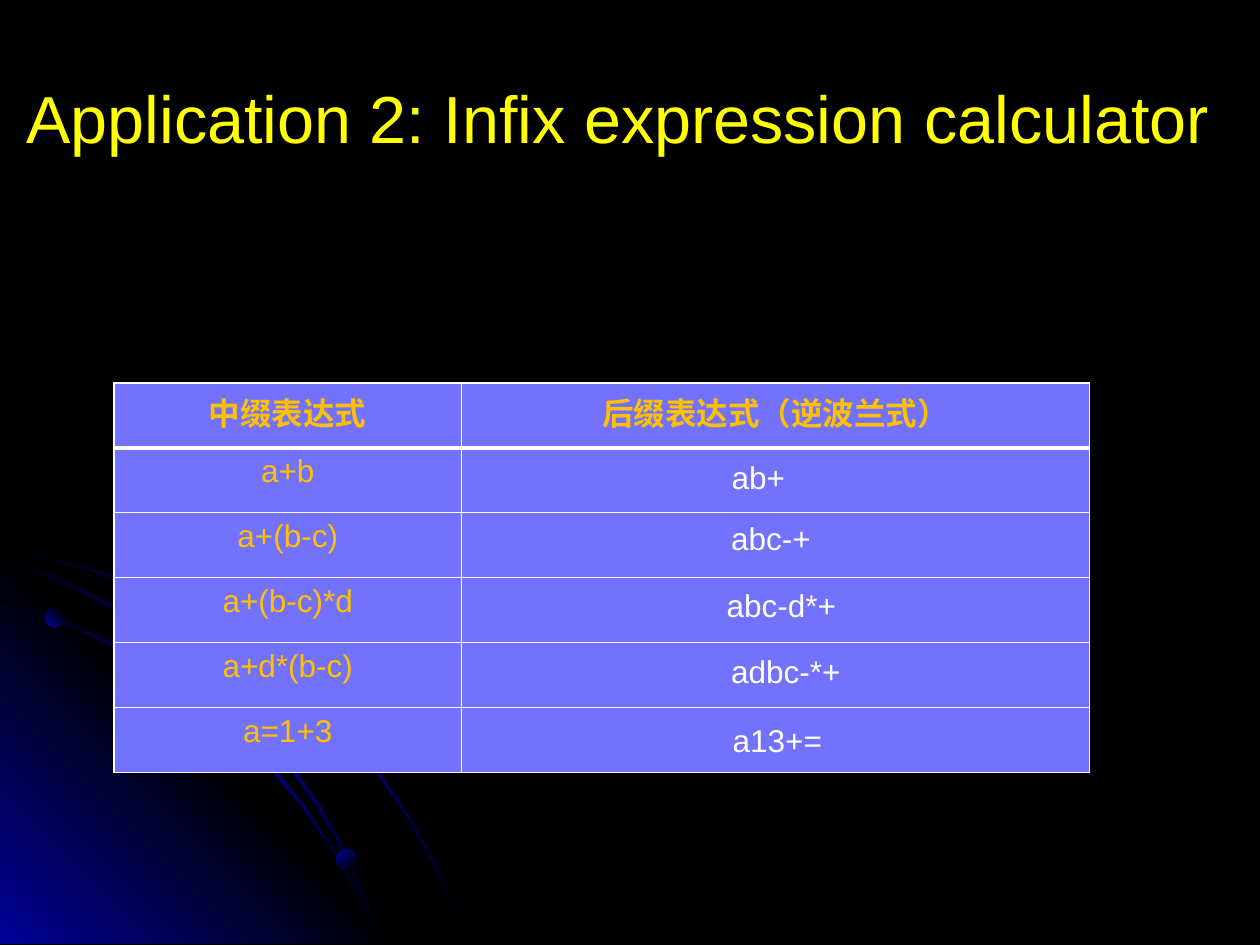
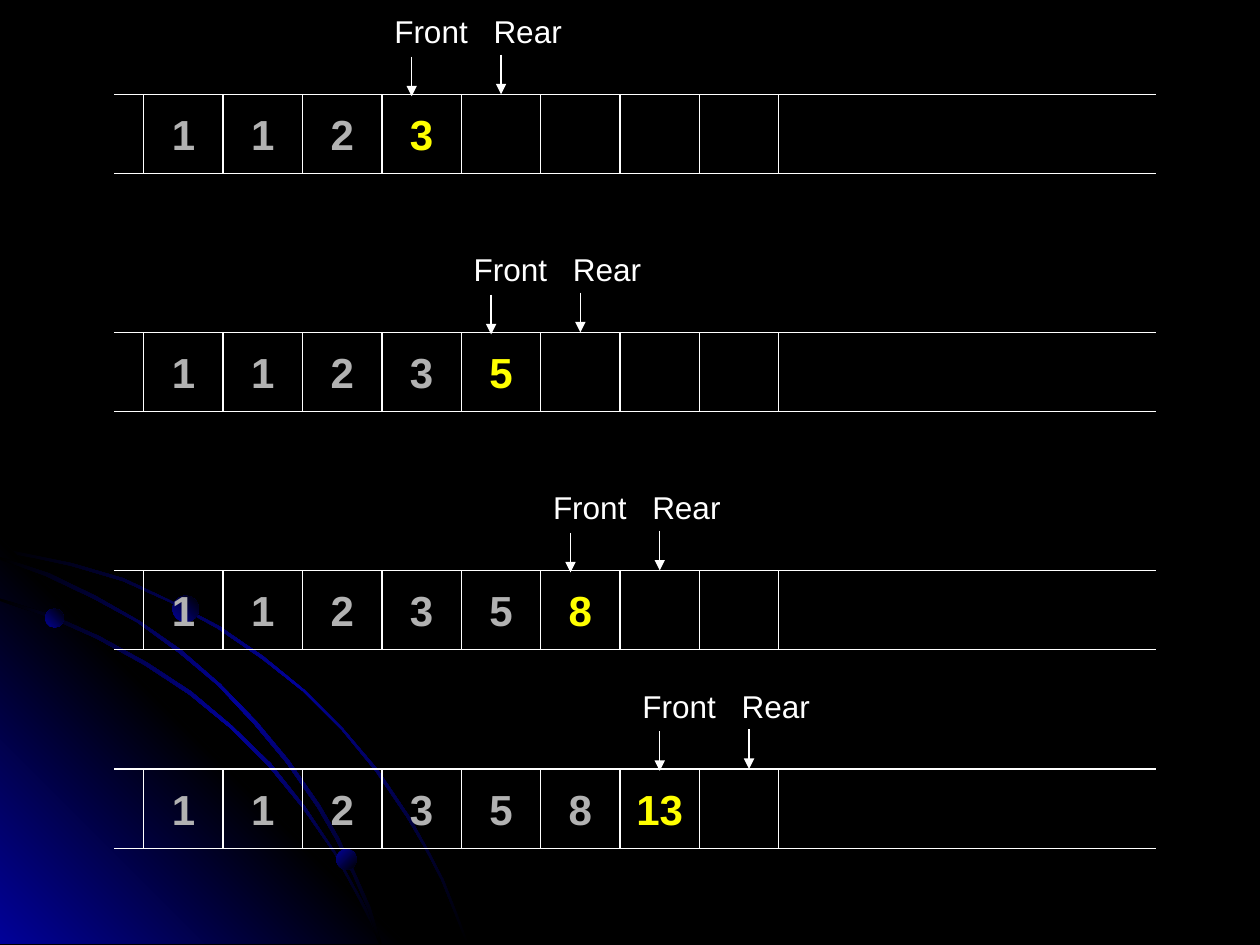
from pptx import Presentation
from pptx.dml.color import RGBColor
from pptx.enum.shapes import MSO_CONNECTOR, MSO_SHAPE
from pptx.enum.text import MSO_ANCHOR, MSO_AUTO_SIZE, PP_ALIGN
from pptx.oxml import parse_xml
from pptx.oxml.ns import nsdecls, qn
from pptx.util import Cm, Pt

BLACK = RGBColor(0x00, 0x00, 0x00)
BLUE = RGBColor(0x01, 0x01, 0x99)
WHITE = RGBColor(0xFF, 0xFF, 0xFF)
YELLOW = RGBColor(0xFF, 0xFF, 0x00)
AMBER = RGBColor(0xFF, 0xC0, 0x00)
GREY = RGBColor(0xB2, 0xB2, 0xB2)
PERIWINKLE = RGBColor(0x72, 0x72, 0xFE)
FONT = "Arial"

ARC_UNIT = Cm(0.0254)
OUTER_ARC = [
    (57, 447), (28, 441), (0, 435), (0, 438), (28, 443), (56, 449), (97, 461),
    (135, 478), (173, 499), (208, 523), (241, 549), (271, 579), (298, 612),
    (323, 649), (337, 673), (350, 698), (360, 723), (370, 749), (372, 749),
    (362, 723), (352, 698), (339, 673), (325, 648), (300, 611), (272, 578),
    (242, 548), (209, 521), (174, 497), (136, 477), (98, 459),
]
CORNER = [(322, 749), (0, 749), (0, 427)]
INNER_ARC = [
    (285, 714), (294, 732), (301, 749), (303, 749), (296, 730), (286, 712),
    (266, 676), (242, 640), (215, 606), (184, 576), (152, 549), (117, 526),
    (79, 505), (41, 488), (0, 475), (0, 477), (39, 490), (77, 507), (115, 528),
    (150, 551), (183, 578), (213, 608), (240, 641), (265, 677),
]
MIDDLE_ARC = [
    (0, 442), (0, 444), (36, 457), (74, 475), (109, 494), (142, 518), (173, 544),
    (202, 575), (227, 605), (252, 641), (267, 667), (280, 694), (292, 722),
    (301, 749), (303, 749), (294, 720), (282, 693), (269, 665), (254, 639),
    (229, 603), (204, 573), (175, 543), (144, 516), (111, 493), (76, 473), (39, 455),
]
GLOW = (BLACK, BLUE, BLACK)
CORNER_GLOW = (BLUE, BLACK, BLUE)
ORBS = [(0.91, 12.27, 0.38, 315), (6.78, 17.12, 0.41, 45), (3.48, 12.01, 0.53, 315)]

EXPRESSIONS = ["a+b", "a+(b-c)", "a+(b-c)*d", "a+d*(b-c)", "a=1+3"]
POSTFIX = [
    ("ab+", 14.5, 9.1, 1.6),
    ("abc-+", 14.49, 10.34, 2.13),
    ("abc-d*+", 14.4, 11.68, 2.74),
    ("adbc-*+", 14.49, 13.02, 2.74),
    ("a13+=", 14.52, 14.41, 2.34),
]

FIBONACCI = [1, 1, 2, 3, 5, 8, 13]
CELL = 1.6
CELL_COUNT = 8
QUEUE_LEFT = 2.9
QUEUES = [(1.9, 4, 7.7), (6.7, 5, 9.3), (11.5, 6, 10.9), (15.5, 7, 12.7)]


def style_run(r, size, color, bold=False):
    r.font.name = FONT
    r.font.size = Pt(size)
    r.font.bold = bold
    r.font.color.rgb = color


def write(tf, text, size, color, bold=False, align=PP_ALIGN.LEFT):
    tf.text = text
    p = tf.paragraphs[0]
    p.alignment = align
    for r in p.runs:
        style_run(r, size, color, bold)


def add_label(s, text, left, top, width):
    sp = s.shapes.add_textbox(Cm(left), Cm(top), Cm(width), Cm(1.02))
    sp.text_frame.word_wrap = False
    sp.text_frame.auto_size = MSO_AUTO_SIZE.SHAPE_TO_FIT_TEXT
    write(sp.text_frame, text, 18, WHITE)


def add_title(s, text):
    sp = s.shapes.add_textbox(Cm(0.28), Cm(0.76), Cm(24.94), Cm(3.18))
    sp.text_frame.word_wrap = True
    sp.text_frame.vertical_anchor = MSO_ANCHOR.MIDDLE
    write(sp.text_frame, text, 38, YELLOW)


def fill_gradient(sp, colors, angle):
    step = 100000 // (len(colors) - 1)
    stops = "".join(
        f'<a:gs pos="{i * step}"><a:srgbClr val="{color}"/></a:gs>'
        for i, color in enumerate(colors)
    )
    sp.shadow.inherit = False
    sp.line.fill.background()
    sp.fill.solid()
    spPr = sp._element.spPr
    spPr.replace(spPr.find(qn("a:solidFill")), parse_xml(
        f'<a:gradFill {nsdecls("a")} rotWithShape="1"><a:gsLst>{stops}</a:gsLst>'
        f'<a:lin ang="{angle * 60000}" scaled="1"/></a:gradFill>'
    ))


def add_outline(s, points, colors, angle):
    builder = s.shapes.build_freeform(*points[0], scale=ARC_UNIT)
    builder.add_line_segments(points[1:], close=True)
    fill_gradient(builder.convert_to_shape(), colors, angle)


def add_backdrop(s):
    s.background.fill.solid()
    s.background.fill.fore_color.rgb = BLACK
    add_outline(s, OUTER_ARC, GLOW, 45)
    add_outline(s, CORNER, CORNER_GLOW, 315)
    add_outline(s, INNER_ARC, GLOW, 45)
    add_outline(s, MIDDLE_ARC, GLOW, 45)
    for left, top, size, angle in ORBS:
        orb = s.shapes.add_shape(MSO_SHAPE.OVAL, Cm(left), Cm(top), Cm(size), Cm(size))
        fill_gradient(orb, (BLUE, BLACK), angle)


def add_line(s, x1, y1, x2, y2, arrow=False):
    line = s.shapes.add_connector(MSO_CONNECTOR.STRAIGHT, Cm(x1), Cm(y1), Cm(x2), Cm(y2))
    line.line.color.rgb = WHITE
    line.line.width = Pt(0.75)
    if arrow:
        line.line._get_or_add_ln().append(
            parse_xml(f'<a:tailEnd {nsdecls("a")} type="triangle"/>'))
    line._element.spPr.append(parse_xml(f'<a:effectLst {nsdecls("a")}/>'))


def set_borders(cell, bottom):
    tcPr = cell._tc.get_or_add_tcPr()
    widths = {"lnL": 1, "lnR": 1, "lnT": 1, "lnB": bottom}
    for i, (side, width) in enumerate(widths.items()):
        tcPr.insert(i, parse_xml(
            f'<a:{side} {nsdecls("a")} w="{Pt(width)}"><a:solidFill>'
            f'<a:srgbClr val="{WHITE}"/></a:solidFill></a:{side}>'
        ))


def add_expression_table(s):
    rows = [("中缀表达式", "后缀表达式（逆波兰式）")] + [(e, "") for e in EXPRESSIONS]
    height = Cm(7.85)
    table = s.shapes.add_table(
        len(rows), 2, Cm(2.3), Cm(7.72), Cm(19.66), height).table
    table.horz_banding = False
    for column, width in zip(table.columns, (7, 12.66)):
        column.width = Cm(width)
    for i, texts in enumerate(rows):
        table.rows[i].height = height // len(rows)
        header = i == 0
        for j, text in enumerate(texts):
            cell = table.cell(i, j)
            cell.fill.solid()
            cell.fill.fore_color.rgb = PERIWINKLE
            set_borders(cell, 3 if header else 1)
            if text:
                write(cell.text_frame, text, 18, AMBER, header, PP_ALIGN.CENTER)


def add_queue_cell(s, left, top, text, color):
    sp = s.shapes.add_shape(MSO_SHAPE.RECTANGLE, Cm(left), Cm(top), Cm(CELL), Cm(CELL))
    sp.shadow.inherit = False
    sp.fill.background()
    sp.line.color.rgb = WHITE
    sp.line.width = Pt(0.75)
    if text:
        sp.text_frame.word_wrap = False
        sp.text_frame.vertical_anchor = MSO_ANCHOR.MIDDLE
        write(sp.text_frame, text, 24, color, True, PP_ALIGN.CENTER)


def add_queue(s, top, filled, pointer_left):
    for y in (top, top + CELL):
        add_line(s, 2.3, y, 23.3, y)
    for i in range(CELL_COUNT):
        text = str(FIBONACCI[i]) if i < filled else ""
        color = YELLOW if i == filled - 1 else GREY
        add_queue_cell(s, QUEUE_LEFT + i * CELL, top, text, color)
    add_label(s, "Front", pointer_left, top - 1.78, 2.02)
    add_label(s, "Rear", pointer_left + 2, top - 1.78, 1.9)
    add_line(s, pointer_left + 0.6, top - 0.76, pointer_left + 0.6, top + 0.04, True)
    add_line(s, pointer_left + 2.4, top - 0.8, pointer_left + 2.4, top, True)


def add_slide(prs):
    s = prs.slides.add_slide(prs.slide_layouts[6])
    add_backdrop(s)
    return s


def main():
    prs = Presentation()
    prs.slide_width = Cm(25.4)
    prs.slide_height = Cm(19.05)

    s = add_slide(prs)
    add_title(s, "Application 2: Infix expression calculator")
    add_expression_table(s)
    for text, left, top, width in POSTFIX:
        add_label(s, text, left, top, width)

    s = add_slide(prs)
    for top, filled, pointer_left in QUEUES:
        add_queue(s, top, filled, pointer_left)

    prs.save("out.pptx")


if __name__ == "__main__":
    main()
